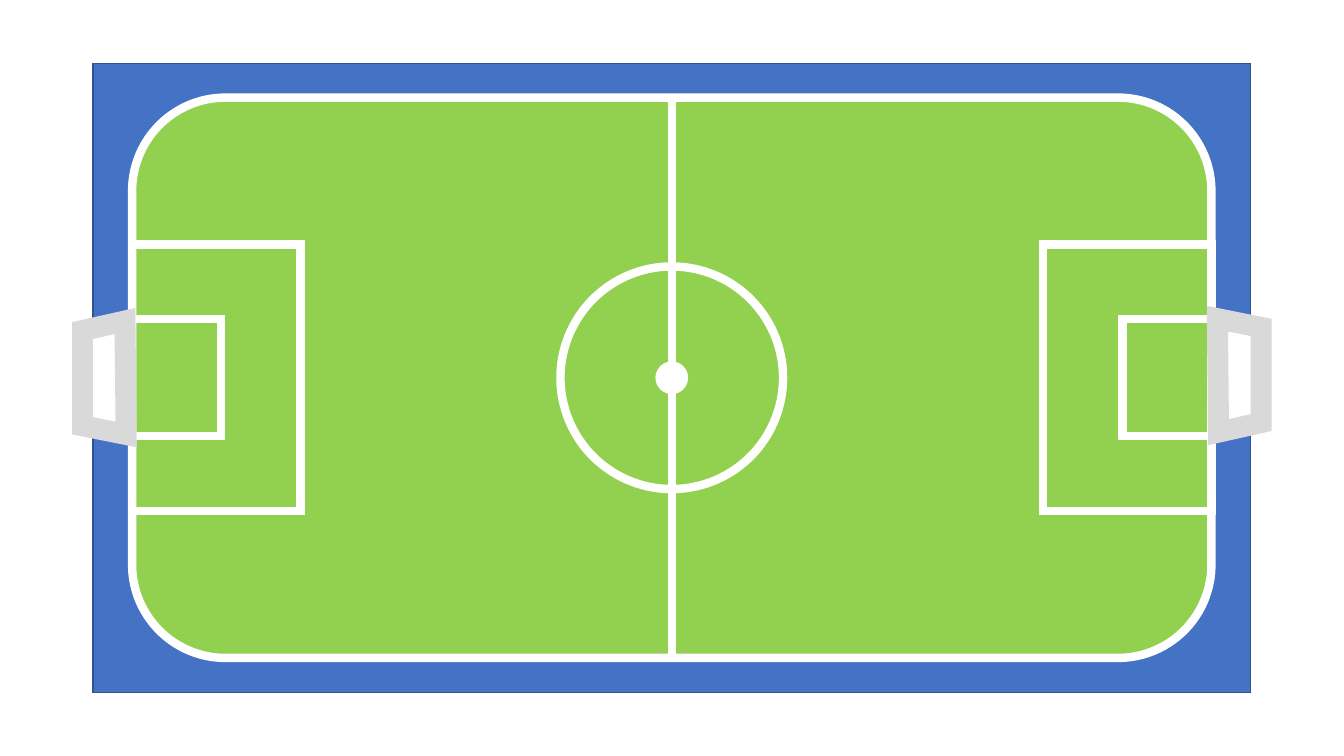
from dataclasses import dataclass
from lxml.etree import SubElement
from pptx import Presentation
from pptx.dml.color import RGBColor
from pptx.enum.shapes import MSO_CONNECTOR, MSO_SHAPE
from pptx.oxml.ns import qn
from pptx.util import Cm, Pt


@dataclass(frozen=True)
class Theme:
    """Colours and line widths of the slide."""
    rim: str = "4472C4"
    edge: str = "325491"
    grass: str = "92D050"
    white: str = "FFFFFF"
    post: str = "D9D9D9"
    thin: float = 1
    mark: float = 6
    thick: float = 15


@dataclass(frozen=True)
class Box:
    """A rectangle in centimetres."""
    left: float
    top: float
    width: float
    height: float

    @property
    def mid(self):
        """Return the centre point."""
        return self.left + self.width / 2, self.top + self.height / 2


THEME = Theme()


def stroke(item, color, width):
    """Give an item a plain line with sharp corners."""
    item.line.color.rgb = RGBColor.from_string(color)
    item.line.width = Pt(width)
    SubElement(item.line._get_or_add_ln(), qn("a:miter"), lim="800000")


def paint(shape, fill=None, line=THEME.white, width=THEME.mark):
    """Set the fill and line of a shape."""
    shape.shadow.inherit = False
    if fill:
        shape.fill.solid()
        shape.fill.fore_color.rgb = RGBColor.from_string(fill)
    else:
        shape.fill.background()
    stroke(shape, line, width)


def draw(slide, kind, box, **style):
    """Add a preset shape in a box."""
    sides = (box.left, box.top, box.width, box.height)
    paint(slide.shapes.add_shape(kind, *map(Cm, sides)), **style)


def disc(slide, mid, size, **style):
    """Add a circle around a centre point."""
    x, y = mid
    box = Box(x - size / 2, y - size / 2, size, size)
    draw(slide, MSO_SHAPE.OVAL, box, **style)


def pitch(slide, box, field):
    """Draw the rim, the grass and the halfway line."""
    draw(slide, MSO_SHAPE.RECTANGLE, box,
         fill=THEME.rim, line=THEME.edge, width=THEME.thin)
    draw(slide, MSO_SHAPE.ROUNDED_RECTANGLE, field, fill=THEME.grass)
    x = Cm(field.mid[0])
    half = slide.shapes.add_connector(
        MSO_CONNECTOR.STRAIGHT, x, Cm(field.top), x, Cm(field.top + field.height))
    stroke(half, THEME.white, THEME.mark)
    SubElement(half._element.spPr, qn("a:effectLst"))


def centre(slide, field):
    """Draw the centre circle and its spot."""
    disc(slide, field.mid, 5.61)
    disc(slide, field.mid, 0.79, fill=THEME.white, width=THEME.thin)


def areas(slide, field):
    """Draw the penalty and goal areas at both ends."""
    for wide, high in ((4.24, 6.72), (2.24, 2.95)):
        top = field.mid[1] - high / 2
        for left in (field.left, field.left + field.width - wide):
            draw(slide, MSO_SHAPE.RECTANGLE, Box(left, top, wide, high))


def goals(slide, field):
    """Draw the left goal and its half-turn at the right end."""
    x, y = field.mid
    frame = ((-14.85, -1.16), (-13.78, -1.4), (-13.75, 1.46), (-14.85, 1.24))
    for sign in (1, -1):
        spots = [(Cm(x + sign * dx), Cm(y - 0.03 + sign * dy)) for dx, dy in frame]
        outline = slide.shapes.build_freeform(*spots[0])
        outline.add_line_segments(spots[1:], close=True)
        paint(outline.convert_to_shape(), fill=THEME.white,
              line=THEME.post, width=THEME.thick)


def main():
    """Build and save the slide."""
    deck = Presentation()
    deck.slide_width, deck.slide_height = Cm(33.87), Cm(19.05)
    slide = deck.slides.add_slide(deck.slide_layouts[6])
    field = Box(3.33, 2.46, 27.2, 14.12)
    pitch(slide, Box(2.34, 1.6, 29.18, 15.85), field)
    centre(slide, field)
    areas(slide, field)
    goals(slide, field)
    deck.save("out.pptx")


if __name__ == "__main__":
    main()
